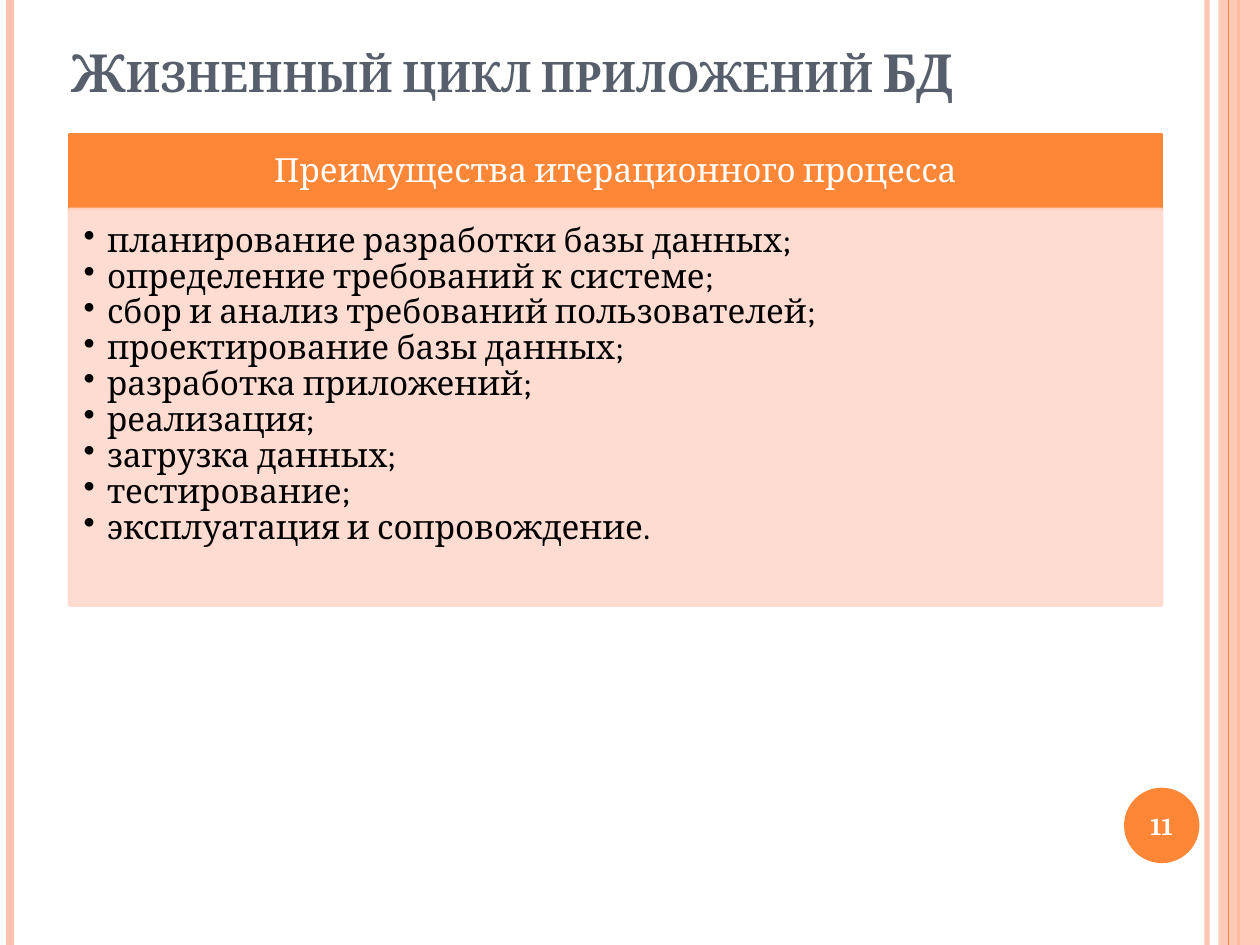
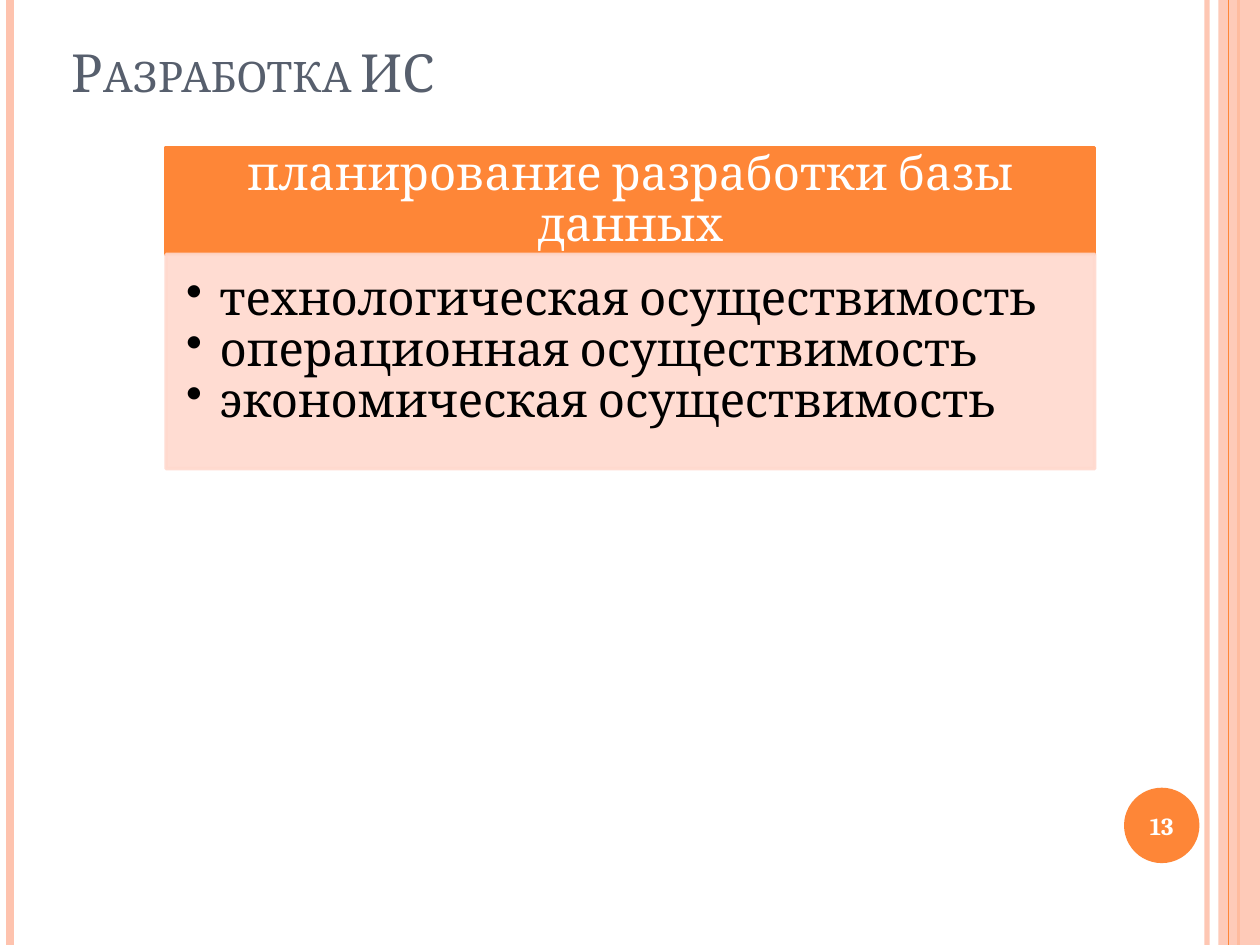
from dataclasses import dataclass
from lxml import etree
from pptx import Presentation
from pptx import util as u
from pptx.dml.color import RGBColor
from pptx.enum import shapes, text
from pptx.oxml import ns


@dataclass(frozen=True)
class Theme:
    font: str = "Cambria"
    orange: str = "FE8637"
    peach: str = "FEC3AE"
    pale: str = "FFD9CE"
    slate: str = "575F6D"
    white: str = "FFFFFF"
    black: str = "000000"
    title: int = 30
    number: int = 14


theme = Theme()


def paint(fill, color, alpha=100):
    """Set a solid fill, optionally see-through."""
    fill.solid()
    fill.fore_color.rgb = RGBColor.from_string(color)
    if alpha < 100:
        tone = fill._xPr.find(".//" + ns.qn("a:srgbClr"))
        etree.SubElement(tone, ns.qn("a:alpha"), val=str(alpha * 1000))


def write(para, words, size, color, bold=False):
    """Add one run of text."""
    run = para.add_run()
    run.text = words
    font = run.font
    font.name, font.size, font.bold = theme.font, u.Pt(size), bold
    font.color.rgb = RGBColor.from_string(color)
    return run


deck = Presentation()
deck.slide_width, deck.slide_height = u.Cm(25.4), u.Cm(19.05)

# Vertical rules: x, colour, weight, opacity; the band lies over the first three
rules = [
    (24.33, theme.peach, 3, 93),
    (0.2, theme.peach, 4.5, 100),
    (24.97, theme.orange, 1.5, 100),
    (24.76, theme.orange, 0.75, 100),
]

# Title, bold, number, panel left, top, width, head height, body height, size, head, items
pages = [
    ("Жизненный цикл приложений БД", True, "11",
     1.4, 2.72, 22.02, 1.5, 7.98, 19, "Преимущества итерационного процесса",
     ["планирование разработки базы данных;",
      "определение требований к системе;",
      "сбор и анализ требований пользователей;",
      "проектирование базы данных;",
      "разработка приложений;",
      "реализация;",
      "загрузка данных;",
      "тестирование;",
      "эксплуатация и сопровождение."]),
    ("Разработка ИС", False, "13",
     3.35, 2.97, 18.72, 2.16, 4.32, 27, "планирование разработки базы данных",
     ["технологическая осуществимость",
      "операционная осуществимость",
      "экономическая осуществимость"]),
]

for title, bold, number, left, top, width, high, deep, size, head, items in pages:
    slide = deck.slides.add_slide(deck.slide_layouts[6])
    draw = slide.shapes

    # Side rules and band
    for i, (x, color, weight, alpha) in enumerate(rules):
        if i == 3:
            band = draw.add_shape(shapes.MSO_SHAPE.RECTANGLE,
                                  u.Cm(24.56), 0, u.Cm(0.84), deck.slide_height)
            band.shadow.inherit = False
            paint(band.fill, theme.peach, 87)
            band.line.fill.background()
        rule = draw.add_connector(shapes.MSO_CONNECTOR.STRAIGHT,
                                  u.Cm(x), 0, u.Cm(x), deck.slide_height)
        rule.line.width = u.Pt(weight)
        paint(rule.line.fill, color, alpha)
        etree.SubElement(rule._element.spPr, ns.qn("a:effectLst"))

    # Page number
    disc = draw.add_shape(shapes.MSO_SHAPE.OVAL,
                          u.Cm(22.66), u.Cm(15.88), u.Cm(1.52), u.Cm(1.52))
    disc.shadow.inherit = False
    paint(disc.fill, theme.orange)
    disc.line.fill.background()
    frame = disc.text_frame
    frame.word_wrap = False
    frame.vertical_anchor = text.MSO_ANCHOR.MIDDLE
    para = frame.paragraphs[0]
    para.alignment = text.PP_ALIGN.CENTER
    write(para, number, theme.number, theme.white, True)

    # Title in small capitals
    frame = draw.add_textbox(u.Cm(1.19), 0, u.Cm(20.75), u.Cm(2.21)).text_frame
    frame.word_wrap = True
    frame.vertical_anchor = text.MSO_ANCHOR.BOTTOM
    run = write(frame.paragraphs[0], title, theme.title, theme.slate, bold)
    run.font._element.set("cap", "small")

    # Panel: head and body, with insets in proportion to the type size
    parts = [
        (top, high, theme.orange, 100, (0.02, 0.011, 0.02, 0.011)),
        (top + high, deep, theme.pale, 90, (0.015, 0.015, 0.02, 0.023)),
    ]
    frames = []
    for y, tall, color, alpha, pads in parts:
        box = draw.add_shape(shapes.MSO_SHAPE.RECTANGLE,
                             u.Cm(left), u.Cm(y), u.Cm(width), u.Cm(tall))
        box.shadow.inherit = False
        paint(box.fill, color, alpha)
        box.line.width = u.Pt(2)
        paint(box.line.fill, color, alpha)
        frame = box.text_frame
        frame.word_wrap = True
        (frame.margin_left, frame.margin_top,
         frame.margin_right, frame.margin_bottom) = [u.Cm(p * size) for p in pads]
        frames.append(frame)
    lead, body = frames

    # Panel head
    lead.vertical_anchor = text.MSO_ANCHOR.MIDDLE
    para = lead.paragraphs[0]
    para.alignment = text.PP_ALIGN.CENTER
    para.line_spacing = 0.9
    write(para, head, size, theme.white)

    # Panel list
    body.vertical_anchor = text.MSO_ANCHOR.TOP
    dent = u.Cm(0.025 * size)
    for i, item in enumerate(items):
        para = body.add_paragraph() if i else body.paragraphs[0]
        para.alignment = text.PP_ALIGN.LEFT
        para.line_spacing = 0.9
        props = para._p.get_or_add_pPr()
        props.set("marL", str(dent))
        props.set("indent", str(-dent))
        etree.SubElement(props, ns.qn("a:buChar"), char="•")
        write(para, item, size, theme.black)

deck.save("out.pptx")
